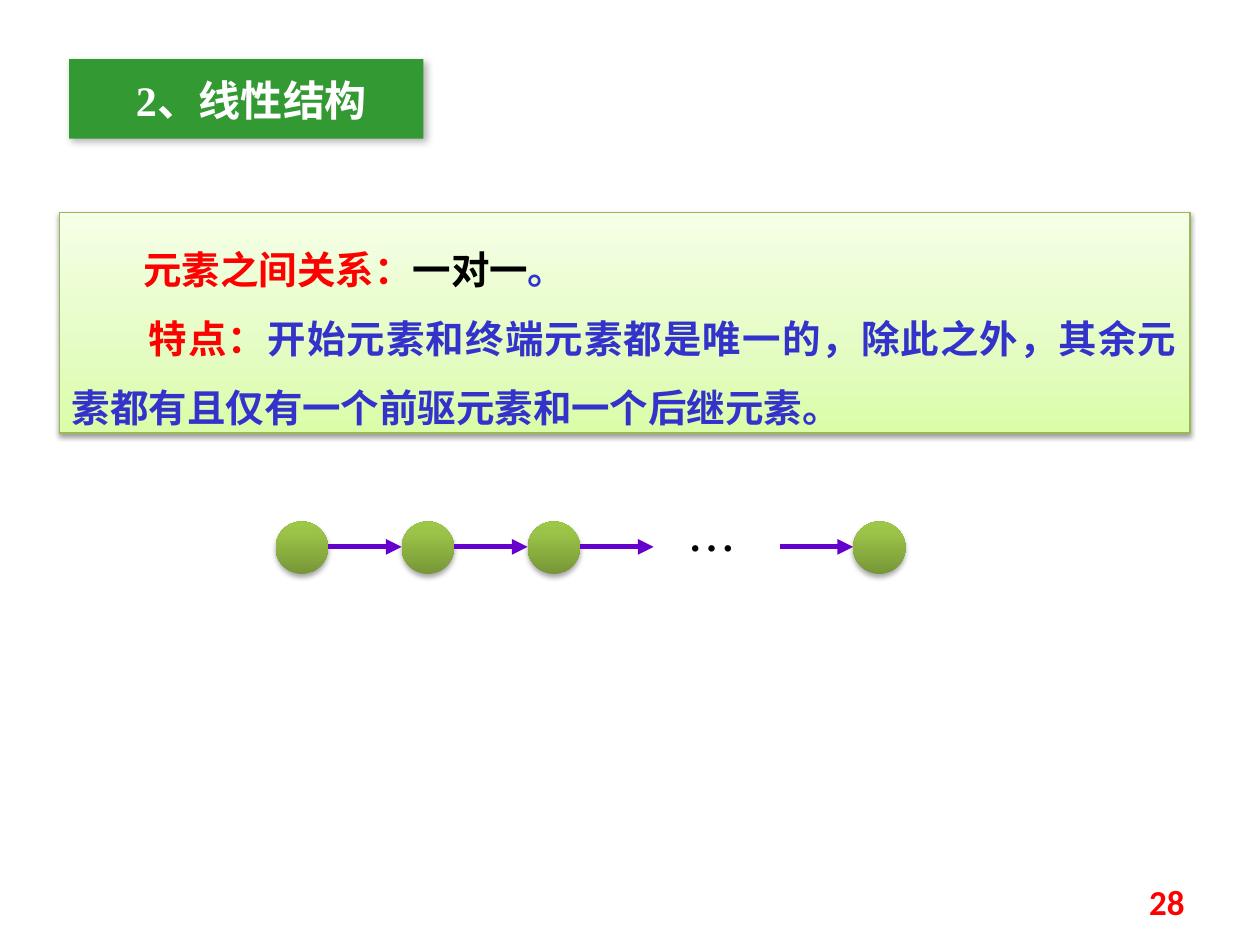
from lxml import etree
from pptx import Presentation
from pptx import util as u
from pptx.dml.color import RGBColor
from pptx.enum import shapes, text
from pptx.oxml import ns, parse_xml

RED = RGBColor(0xFF, 0x00, 0x00)
BLACK = RGBColor(0x00, 0x00, 0x00)
WHITE = RGBColor(0xFF, 0xFF, 0xFF)
BLUE = RGBColor(0x33, 0x33, 0xCC)
GREEN = RGBColor(0x33, 0x99, 0x33)
OLIVE = RGBColor(0x98, 0xB9, 0x55)
PURPLE = RGBColor(0x66, 0x00, 0xCC)
PANEL_STOPS = [(0, RGBColor(0xDA, 0xFD, 0xA7)), (35, RGBColor(0xE4, 0xFC, 0xC2)),
               (100, RGBColor(0xF5, 0xFF, 0xE7))]
NODE_STOPS = [(0, RGBColor(0x77, 0x97, 0x37)), (80, RGBColor(0x9B, 0xC3, 0x48)),
              (100, RGBColor(0x9D, 0xC7, 0x46))]
SANS, SERIF, CHINESE = "Calibri", "Times New Roman", "Noto Sans CJK SC"
NODE_SIZE, NODE_TOP, NODE_STEP = 30, 298, 72
FIRST_NODE, LAST_NODE = 157.5, 487.5
ARROW_Y, ARROW_LENGTH = 312.5, 42


def add_gradient(shape, stops):
    """Fill a shape with an upward gradient of (percent, colour) stops."""
    marks = "".join(f'<a:gs pos="{percent * 1000}"><a:srgbClr val="{color}"/></a:gs>'
                    for percent, color in stops)
    shape.fill.background()
    plain = shape._element.spPr.find(ns.qn("a:noFill"))
    plain.getparent().replace(plain, parse_xml(
        f'<a:gradFill {ns.nsdecls("a")} rotWithShape="1"><a:gsLst>{marks}</a:gsLst>'
        '<a:lin ang="16200000" scaled="0"/></a:gradFill>'))


def add_shadow(shape, opacity, blur, distance, angle):
    """Give a shape a black outer shadow, with lengths in points."""
    shape.shadow.inherit = False
    effects = shape._element.spPr.find(ns.qn("a:effectLst"))
    effects.append(parse_xml(
        f'<a:outerShdw {ns.nsdecls("a")} blurRad="{u.Pt(blur)}" dist="{u.Pt(distance)}" '
        f'dir="{angle * 60000}" rotWithShape="0"><a:srgbClr val="{BLACK}">'
        f'<a:alpha val="{opacity * 1000}"/></a:srgbClr></a:outerShdw>'))


def add_block(slide, kind, box, fill, shadow, border=None):
    """Add a preset shape with a solid or gradient fill and a shadow."""
    block = slide.shapes.add_shape(kind, *map(u.Pt, box))
    if isinstance(fill, RGBColor):
        block.fill.solid()
        block.fill.fore_color.rgb = fill
    else:
        add_gradient(block, fill)
    if border:
        block.line.color.rgb = border
        block.line.width = u.Pt(0.75)
    else:
        block.line.fill.background()
    add_shadow(block, *shadow)
    return block


def add_label(slide, box):
    """Add an empty text box that wraps."""
    label = slide.shapes.add_textbox(*map(u.Pt, box))
    label.text_frame.word_wrap = True
    return label


def write(shape, paragraphs, size, font, bold=False, align=text.PP_ALIGN.LEFT,
          anchor=text.MSO_ANCHOR.TOP, spacing=None, indents=(0,),
          insets=(7.2, 3.6, 7.2, 3.6)):
    """Write paragraphs of (words, colour) runs into a shape."""
    frame = shape.text_frame
    frame.vertical_anchor = anchor
    (frame.margin_left, frame.margin_top,
     frame.margin_right, frame.margin_bottom) = map(u.Pt, insets)
    for index, (runs, indent) in enumerate(zip(paragraphs, indents)):
        paragraph = frame.add_paragraph() if index else frame.paragraphs[0]
        paragraph.alignment = align
        paragraph.line_spacing = spacing
        paragraph._p.get_or_add_pPr().set("indent", str(u.Pt(indent)))
        for words, color in runs:
            run = paragraph.add_run()
            run.text = words
            run.font.size = u.Pt(size)
            run.font.bold = bold
            run.font.name = font
            run.font.color.rgb = color
            etree.SubElement(run.font._element, ns.qn("a:ea"), typeface=CHINESE)


def add_arrow(slide, start):
    """Add a link arrow of the chain that starts at the given left position."""
    arrow = slide.shapes.add_connector(
        shapes.MSO_CONNECTOR.STRAIGHT, u.Pt(start), u.Pt(ARROW_Y),
        u.Pt(start + ARROW_LENGTH), u.Pt(ARROW_Y))
    arrow.line.color.rgb = PURPLE
    arrow.line.width = u.Pt(3)
    etree.SubElement(arrow.line._get_or_add_ln(), ns.qn("a:tailEnd"), type="triangle")
    etree.SubElement(arrow._element.spPr, ns.qn("a:effectLst"))


def add_chain(slide):
    """Draw the nodes of the linear structure and the arrows between them."""
    leading = [FIRST_NODE + NODE_STEP * index for index in range(3)]
    for left in leading + [LAST_NODE]:
        add_block(slide, shapes.MSO_SHAPE.OVAL, (left, NODE_TOP, NODE_SIZE, NODE_SIZE),
                  NODE_STOPS, (35, 3.1, 1.8, 90))
    for start in [left + NODE_SIZE for left in leading] + [LAST_NODE - ARROW_LENGTH]:
        add_arrow(slide, start)
    ellipsis = add_label(slide, (385.5, 292.5, 54, 41))
    write(ellipsis, [[("…", BLACK)]], size=28, font=CHINESE)


def main():
    """Build the slide on linear structures."""
    deck = Presentation()
    deck.slide_width, deck.slide_height = u.Pt(720), u.Pt(540)
    slide = deck.slides.add_slide(deck.slide_layouts[6])

    panel = add_block(slide, shapes.MSO_SHAPE.RECTANGLE, (34, 121.5, 646, 126),
                      PANEL_STOPS, (38, 3.1, 1.6, 90), border=OLIVE)
    relation = [("元素之间关系：", RED), ("一对一", BLACK), ("。", BLUE)]
    feature = [("特点：", RED),
               ("开始元素和终端元素都是唯一的，除此之外，其余元素都有且仅有"
                "一个前驱元素和一个后继元素。", BLUE)]
    write(panel, [relation, feature], size=22, font=SANS, bold=True,
          align=text.PP_ALIGN.JUSTIFY, spacing=1.5, indents=(41, 44),
          insets=(7.2, 5.8, 7.2, 0))

    add_chain(slide)

    heading = add_block(slide, shapes.MSO_SHAPE.RECTANGLE, (39.5, 33.8, 202.5, 45.4),
                        GREEN, (30, 4.5, 2.6, 53))
    write(heading, [[(" 2、线性结构", WHITE)]], size=24, font=SERIF, bold=True,
          align=text.PP_ALIGN.CENTER, insets=(7.2, 8.6, 7.2, 3.6))

    page_number = add_label(slide, (516, 500.5, 168, 28.75))
    write(page_number, [[("28", RED)]], size=20, font=SANS, bold=True,
          align=text.PP_ALIGN.RIGHT, anchor=text.MSO_ANCHOR.MIDDLE)
    deck.save("out.pptx")


if __name__ == "__main__":
    main()
